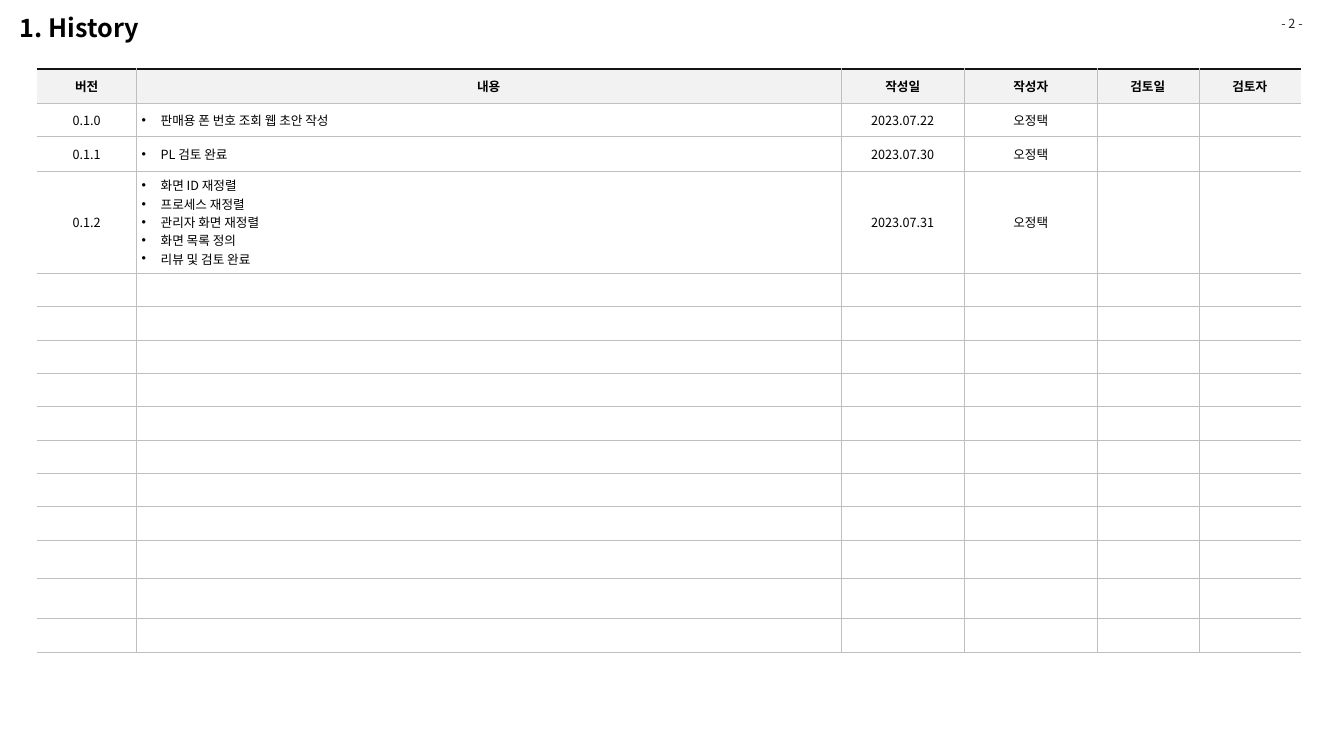
"""Build the document history slide with its version table."""
import dataclasses

import lxml.etree
import pptx
import pptx.dml.color
import pptx.enum.text
import pptx.oxml.ns
import pptx.slide
import pptx.table
import pptx.text.text
import pptx.util

Cm = pptx.util.Cm
Pt = pptx.util.Pt
RGBColor = pptx.dml.color.RGBColor
ALIGN = pptx.enum.text.PP_ALIGN
MIDDLE = pptx.enum.text.MSO_ANCHOR.MIDDLE
qn = pptx.oxml.ns.qn

FONT = "Noto Sans CJK KR"
BLACK = RGBColor(0x00, 0x00, 0x00)
DARK_GRAY = RGBColor(0x26, 0x26, 0x26)
HEADER_FILL = RGBColor(0xF2, 0xF2, 0xF2)
WHITE = RGBColor(0xFF, 0xFF, 0xFF)
GRID = RGBColor(0xBF, 0xBF, 0xBF)
TOP_RULE = RGBColor(0x14, 0x14, 0x15)

HEADERS = ("버전", "내용", "작성일", "작성자", "검토일", "검토자")
COL_WIDTHS = (2.51, 17.75, 3.12, 3.33, 2.57, 2.57)
ROW_HEIGHTS = (0.86, 0.84, 0.87, 2.57) + (0.84,) * 8 + (0.96, 1.01, 0.86)
CONTENT_COL = 1


@dataclasses.dataclass(frozen=True)
class Entry:
    version: str
    changes: tuple[str, ...]
    written: str
    author: str

    def cells(self) -> list[tuple[str, ...]]:
        return [(self.version,), self.changes, (self.written,), (self.author,), (), ()]


ENTRIES = (
    Entry("0.1.0", ("판매용 폰 번호 조회 웹 초안 작성",), "2023.07.22", "오정택"),
    Entry("0.1.1", ("PL 검토 완료",), "2023.07.30", "오정택"),
    Entry("0.1.2", ("화면 ID 재정렬", "프로세스 재정렬", "관리자 화면 재정렬",
                    "화면 목록 정의", "리뷰 및 검토 완료"), "2023.07.31", "오정택"),
)


def write(tf: pptx.text.text.TextFrame, *lines: str, size: float = 9, bold: bool = False,
          color: RGBColor = BLACK, align: ALIGN = ALIGN.CENTER, bullet: bool = False) -> None:
    tf.word_wrap = True
    for i, line in enumerate(lines):
        p = tf.paragraphs[0] if i == 0 else tf.add_paragraph()
        p.alignment = align
        if bullet:
            pPr = p._p.get_or_add_pPr()
            pPr.set("marL", str(Cm(0.48)))
            pPr.set("indent", str(-Cm(0.48)))
            lxml.etree.SubElement(pPr, qn("a:buFont"), typeface="Arial")
            lxml.etree.SubElement(pPr, qn("a:buChar"), char="•")
        r = p.add_run()
        r.text = line
        r.font.name = FONT
        r.font.size = Pt(size)
        r.font.bold = bold
        r.font.color.rgb = color
        lxml.etree.SubElement(r._r.get_or_add_rPr(), qn("a:ea"), typeface=FONT)
    if not lines:
        end = lxml.etree.SubElement(tf.paragraphs[0]._p, qn("a:endParaRPr"))
        end.set("sz", str(int(size * 100)))


def add_text(s: pptx.slide.Slide, text: str, left: float, top: float, width: float,
             height: float, **fmt) -> None:
    tf = s.shapes.add_textbox(Cm(left), Cm(top), Cm(width), Cm(height)).text_frame
    tf.vertical_anchor = MIDDLE
    write(tf, text, **fmt)


def add_border(cell: pptx.table._Cell, side: str, color: RGBColor | None,
               width: float = 0.25) -> None:
    ln = lxml.etree.SubElement(cell._tc.get_or_add_tcPr(), qn(f"a:ln{side}"), w=str(Pt(width)))
    if color is None:
        lxml.etree.SubElement(ln, qn("a:noFill"))
    else:
        fill = lxml.etree.SubElement(ln, qn("a:solidFill"))
        lxml.etree.SubElement(fill, qn("a:srgbClr"), val=str(color))


def format_cell(cell: pptx.table._Cell, row: int, col: int) -> None:
    cell.margin_left = cell.margin_right = cell.margin_top = cell.margin_bottom = Cm(0.13)
    cell.vertical_anchor = MIDDLE
    add_border(cell, "L", GRID if col > 0 else None)
    add_border(cell, "R", GRID if col < len(HEADERS) - 1 else None)
    if row == 0:
        add_border(cell, "T", TOP_RULE, 1)
    else:
        add_border(cell, "T", GRID)
    add_border(cell, "B", GRID)
    cell.fill.solid()
    cell.fill.fore_color.rgb = HEADER_FILL if row == 0 else WHITE


def add_history(s: pptx.slide.Slide) -> None:
    table = s.shapes.add_table(len(ROW_HEIGHTS), len(HEADERS), Cm(0.93), Cm(1.74),
                               Cm(sum(COL_WIDTHS)), Cm(sum(ROW_HEIGHTS))).table
    table.first_row = table.horz_banding = False
    for column, width in zip(table.columns, COL_WIDTHS):
        column.width = Cm(width)
    rows = [[(h,) for h in HEADERS]] + [entry.cells() for entry in ENTRIES]
    rows += [[()] * len(HEADERS)] * (len(ROW_HEIGHTS) - len(rows))
    for i, (lines_by_col, height) in enumerate(zip(rows, ROW_HEIGHTS)):
        table.rows[i].height = Cm(height)
        for j, lines in enumerate(lines_by_col):
            cell = table.cell(i, j)
            format_cell(cell, i, j)
            bullet = i > 0 and j == CONTENT_COL
            write(cell.text_frame, *lines, bold=i == 0, bullet=bullet,
                  align=ALIGN.LEFT if bullet else ALIGN.CENTER)


def main() -> None:
    prs = pptx.Presentation()
    prs.slide_width, prs.slide_height = Cm(33.87), Cm(19.05)
    s = prs.slides.add_slide(prs.slide_layouts[6])
    add_text(s, "- 2 -", 31.47, 0.23, 2.18, 0.71, color=DARK_GRAY)
    add_text(s, "1. History", 0.25, 0.1, 22, 1.19, size=18, bold=True, align=ALIGN.LEFT)
    add_history(s)
    prs.save("out.pptx")


if __name__ == "__main__":
    main()
